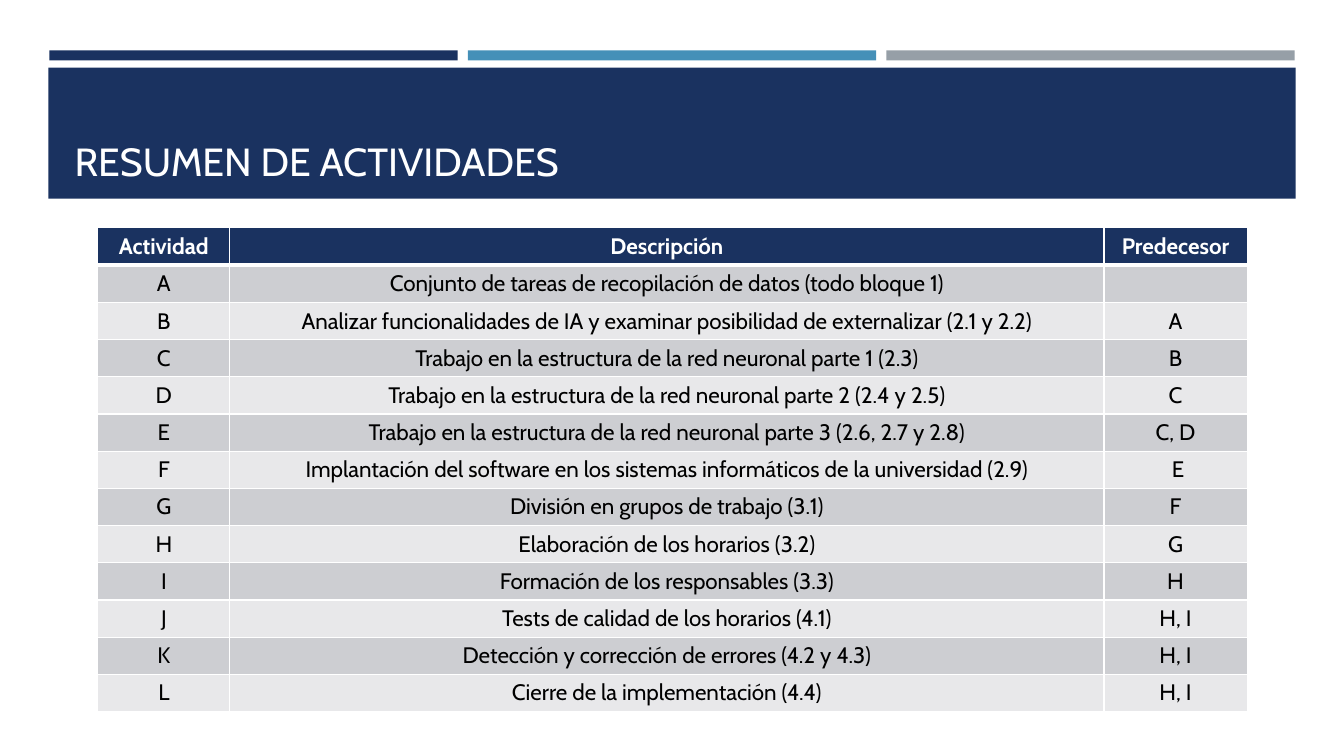
from lxml.etree import SubElement
from pptx import Presentation
from pptx.dml.color import RGBColor
from pptx.enum.shapes import MSO_SHAPE
from pptx.enum.text import MSO_ANCHOR, PP_ALIGN
from pptx.oxml.ns import qn
from pptx.util import Inches, Pt

COLORS = {
    "navy": "1A3260",
    "blue": "4590B8",
    "gray": "969FA7",
    "white": "FFFFFF",
    "black": "000000",
    "odd_row": "CDCED2",
    "even_row": "E8E8EA",
}
FORMATS = {
    "title": {"name": "Cabin", "size": Pt(28), "bold": False},
    "header": {"name": "Cabin", "size": Pt(16), "bold": True},
    "body": {"name": "Cabin", "size": Pt(16), "bold": False},
}
COLUMN_WIDTHS = [1.31, 8.67, 1.42]
ACTIVITIES = [
    ("Actividad", "Descripción", "Predecesor"),
    ("A", "Conjunto de tareas de recopilación de datos (todo bloque 1)", ""),
    ("B", "Analizar funcionalidades de IA y examinar posibilidad de externalizar (2.1 y 2.2)", "A"),
    ("C", "Trabajo en la estructura de la red neuronal parte 1 (2.3)", "B"),
    ("D", "Trabajo en la estructura de la red neuronal parte 2 (2.4 y 2.5)", "C"),
    ("E", "Trabajo en la estructura de la red neuronal parte 3 (2.6, 2.7 y 2.8)", "C, D"),
    ("F", "Implantación del software en los sistemas informáticos de la universidad (2.9)", " E"),
    ("G", "División en grupos de trabajo (3.1)", "F"),
    ("H", "Elaboración de los horarios (3.2)", "G"),
    ("I", "Formación de los responsables (3.3)", "H"),
    ("J", "Tests de calidad de los horarios (4.1)", "H, I"),
    ("K", "Detección y corrección de errores (4.2 y 4.3)", "H, I"),
    ("L", "Cierre de la implementación (4.4)", "H, I"),
]


def color(name):
    return RGBColor.from_string(COLORS[name])


def write(para, text, style, color_name, align):
    para.alignment = align
    if not text:
        SubElement(para._p, qn("a:endParaRPr"), sz=str(int(FORMATS[style]["size"].pt * 100)))
        return
    span = para.add_run()
    span.text = text
    for key, value in FORMATS[style].items():
        setattr(span.font, key, value)
    span.font.color.rgb = color(color_name)


def add_bar(page, left, top, width, height, color_name):
    bar = page.shapes.add_shape(
        MSO_SHAPE.RECTANGLE, Inches(left), Inches(top), Inches(width), Inches(height)
    )
    bar.shadow.inherit = False
    bar.fill.solid()
    bar.fill.fore_color.rgb = color(color_name)
    bar.line.fill.background()


def set_title(page, text):
    title = page.shapes.title
    title.left, title.top = Inches(0.64), Inches(0.77)
    title.width, title.height = Inches(12.06), Inches(1.11)
    frame = title.text_frame
    frame.word_wrap = True
    frame.vertical_anchor = MSO_ANCHOR.BOTTOM
    write(frame.paragraphs[0], text, "title", "white", PP_ALIGN.LEFT)
    page.shapes.element.append(title.element)


def set_borders(cell, top, bottom):
    properties = cell._tc.get_or_add_tcPr()
    for side, width in {"lnL": 1, "lnR": 1, "lnT": top, "lnB": bottom}.items():
        line = SubElement(properties, qn(f"a:{side}"), w=str(Pt(width)))
        fill = SubElement(line, qn("a:solidFill"))
        SubElement(fill, qn("a:srgbClr"), val=COLORS["white"])


def fill_cell(cell, text, row):
    is_header = row == 0
    set_borders(cell, 3 if row == 1 else 1, 3 if is_header else 1)
    cell.fill.solid()
    band = "odd_row" if row % 2 else "even_row"
    cell.fill.fore_color.rgb = color("navy" if is_header else band)
    style, ink = ("header", "white") if is_header else ("body", "black")
    write(cell.text_frame.paragraphs[0], text, style, ink, PP_ALIGN.CENTER)


def add_activity_table(page):
    table = page.shapes.add_table(
        len(ACTIVITIES), len(COLUMN_WIDTHS),
        Inches(0.97), Inches(2.26), Inches(sum(COLUMN_WIDTHS)), Inches(4.77),
    ).table
    for column, width in zip(table.columns, COLUMN_WIDTHS):
        column.width = Inches(width)
    for row, texts in enumerate(ACTIVITIES):
        for column, text in enumerate(texts):
            fill_cell(table.cell(row, column), text, row)


def main():
    deck = Presentation()
    deck.slide_width, deck.slide_height = Inches(13.33), Inches(7.5)
    page = deck.slides.add_slide(deck.slide_layouts[5])
    for index, name in enumerate(["navy", "blue", "gray"]):
        add_bar(page, 0.49 + index * 4.15, 0.5, 4.05, 0.1, name)
    add_bar(page, 0.48, 0.67, 12.37, 1.3, "navy")
    set_title(page, "RESUMEN DE ACTIVIDADES")
    add_activity_table(page)
    deck.save("out.pptx")


if __name__ == "__main__":
    main()
